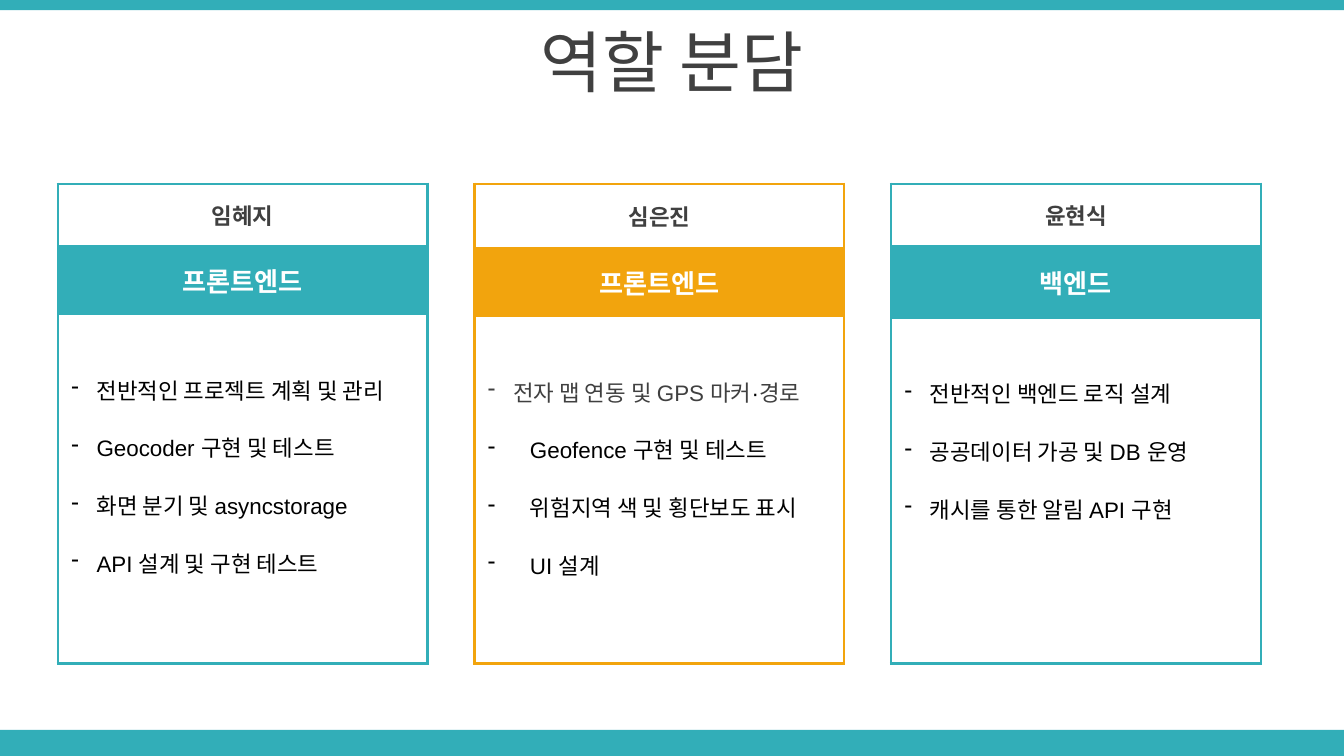
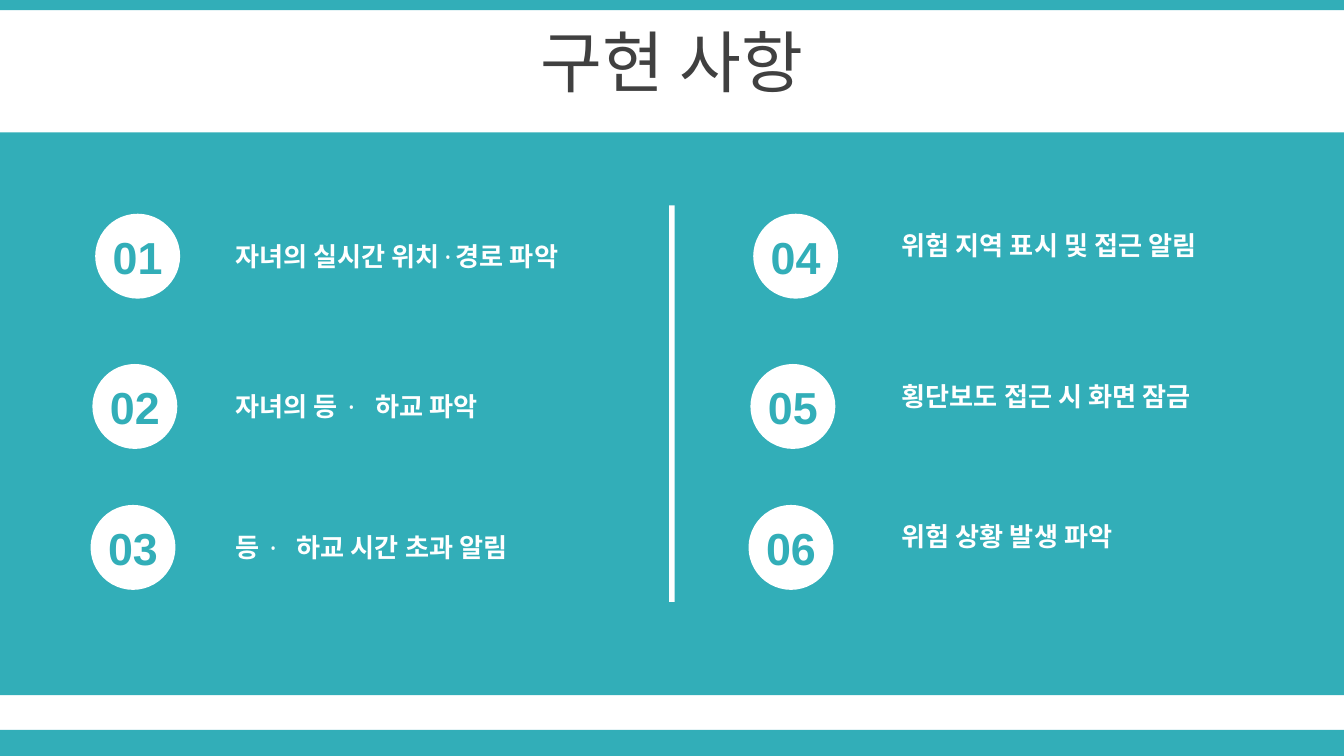
from dataclasses import dataclass
from typing import NamedTuple

from lxml import etree
from pptx import Presentation
from pptx.dml.color import RGBColor
from pptx.enum import shapes, text
from pptx.oxml import ns
from pptx.util import Pt

HUE = {"teal": "32AEB8", "gold": "F2A40D", "white": "FFFFFF",
       "dark": "404040", "black": "000000"}
SANS, MONO = "Arial", "Noto Sans Mono"
WIDE, HIGH = 720, 405
MID, LEFT = text.PP_ALIGN.CENTER, text.PP_ALIGN.LEFT


class Run(NamedTuple):
    text: str
    hue: str = "black"
    size: float = 12
    bold: bool = False
    font: str = SANS


class Box(NamedTuple):
    x: float
    y: float
    w: float
    h: float

    def pts(self) -> list:
        return [Pt(v) for v in self]


@dataclass
class Card:
    name: str
    role: str
    hue: str
    rows: tuple
    tasks: list
    dents: list


@dataclass
class Goal:
    words: list
    dot: str = "·"


CARDS = [
    Card("임혜지", "프론트엔드", "teal", (33, 37.5, 186.5),
         [[Run("전반적인 프로젝트 계획 및 관리")], [Run("Geocoder 구현 및 테스트")],
          [Run("화면 분기 및 asyncstorage")], [Run("API 설계 및 구현 테스트")]],
         [13.5] * 4),
    Card("심은진", "프론트엔드", "gold", (34, 37.5, 185.5),
         [[Run("전자 맵 연동 및 GPS 마커", "dark"), Run("·"), Run("경로", "dark")],
          [Run("Geofence 구현 및 테스트")], [Run("위험지역 색 및 횡단보도 표시")],
          [Run("UI 설계")]],
         [13.5] + [22.5] * 3),
    Card("윤현식", "백엔드", "teal", (33, 39.5, 184.5),
         [[Run("전반적인 백엔드 로직 설계")], [Run("공공데이터 가공 및 DB 운영")],
          [Run("캐시를 통한 알림 API 구현")]],
         [13.5] * 3),
]

GOALS = [
    Goal(["자녀의 실시간 위치", "경로 파악"]),
    Goal(["자녀의 등", "하교 파악"], " · "),
    Goal(["등", "하교 시간 초과 알림"], " · "),
    Goal(["위험 지역 표시 및 접근 알림"]),
    Goal(["횡단보도 접근 시 화면 잠금"]),
    Goal(["위험 상황 발생 파악"]),
]


def tint(name: str) -> RGBColor:
    return RGBColor.from_string(HUE[name])


def write(par, runs: list, align=LEFT) -> None:
    par.alignment = align
    for item in runs:
        run = par.add_run()
        run.text = item.text
        font = run.font
        font.name, font.size, font.bold = item.font, Pt(item.size), item.bold
        font.color.rgb = tint(item.hue)


def block(slide, box: Box, hue: str, kind=shapes.MSO_SHAPE.RECTANGLE) -> None:
    shape = slide.shapes.add_shape(kind, *box.pts())
    shape.shadow.inherit = False
    shape.fill.solid()
    shape.fill.fore_color.rgb = tint(hue)
    shape.line.fill.background()


def label(slide, box: Box, runs: list, align=LEFT) -> None:
    frame = slide.shapes.add_textbox(*box.pts()).text_frame
    frame.word_wrap = True
    write(frame.paragraphs[0], runs, align)


def start(deck, name: str):
    """Add a slide with the shared bands and title."""
    slide = deck.slides.add_slide(deck.slide_layouts[5])
    block(slide, Box(0, 391, WIDE, 14), "teal")
    block(slide, Box(0, 0, WIDE, 5.5), "teal")
    title = slide.shapes.title
    title.left, title.top, title.width, title.height = Box(0, 10, WIDE, 45.5).pts()
    frame = title.text_frame
    frame.auto_size = text.MSO_AUTO_SIZE.NONE
    frame.vertical_anchor = text.MSO_ANCHOR.MIDDLE
    write(frame.paragraphs[0], [Run(name, "dark", 36)], MID)
    return slide


def edge(cell, hue: str, sides: str) -> None:
    """Draw the named sides of a cell and clear the others."""
    props = cell._tc.get_or_add_tcPr()
    for i, side in enumerate("LRTB"):
        line = etree.Element(ns.qn(f"a:ln{side}"), w=str(Pt(1.5)))
        if side in sides:
            fill = etree.SubElement(line, ns.qn("a:solidFill"))
            etree.SubElement(fill, ns.qn("a:srgbClr"), val=HUE[hue])
        else:
            etree.SubElement(line, ns.qn("a:noFill"))
        props.insert(i, line)


def dash(par, dent: float) -> None:
    """Give a paragraph a hanging dash."""
    props = par._p.get_or_add_pPr()
    props.set("marL", str(Pt(dent)))
    props.set("indent", str(-Pt(dent)))
    etree.SubElement(props, ns.qn("a:buChar"), char="-")


def fill_list(cell, card: Card) -> None:
    cell.margin_top = Pt(31)
    frame = cell.text_frame
    for i, (runs, dent) in enumerate(zip(card.tasks, card.dents)):
        par = frame.add_paragraph() if i else frame.paragraphs[0]
        if i:
            par.space_before = Pt(13.5)
        write(par, runs)
        dash(par, dent)


def draw_card(slide, card: Card, x: float) -> None:
    box = Box(x, 98.5, 198, sum(card.rows))
    table = slide.shapes.add_table(3, 1, *box.pts()).table
    table.first_row = table.horz_banding = False
    looks = zip(card.rows, ("white", card.hue, "white"), ("LRT", "LR", "LRB"))
    for i, (tall, hue, sides) in enumerate(looks):
        table.rows[i].height = Pt(tall)
        cell = table.cell(i, 0)
        cell.fill.solid()
        cell.fill.fore_color.rgb = tint(hue)
        edge(cell, card.hue, sides)
    heads = (Run(card.name, "dark", 12, True), Run(card.role, "white", 14, True))
    for i, head in enumerate(heads):
        cell = table.cell(i, 0)
        cell.vertical_anchor = text.MSO_ANCHOR.MIDDLE
        write(cell.text_frame.paragraphs[0], [head], MID)
    fill_list(table.cell(2, 0), card)


def draw_goal(slide, i: int, goal: Goal) -> None:
    col, row = divmod(i, 3)
    x = (51, 49.5, 48.5)[row] + col * 352.5
    y = (114.5, 195, 270.5)[row]
    block(slide, Box(x, y, 45.5, 45.5), "white", shapes.MSO_SHAPE.OVAL)
    label(slide, Box(x - 2.5, y + 5, 50.5, 36),
          [Run(f"{i + 1:02}", "teal", 24, True)], MID)
    runs = []
    for word in goal.words:
        if runs:
            runs.append(Run(goal.dot, "white", 14, False, MONO))
        runs.append(Run(word, "white", 14, True))
    label(slide, Box((119, 476)[col], y + (10.8, 5)[col], 209.5, 24.5), runs)


def main() -> None:
    deck = Presentation()
    deck.slide_width, deck.slide_height = Pt(WIDE), Pt(HIGH)

    slide = start(deck, "역할 분담")
    for i, card in enumerate(CARDS):
        draw_card(slide, card, 31 + i * 223.2)

    slide = start(deck, "구현 사항")
    block(slide, Box(0, 71, WIDE, 301.5), "teal")
    block(slide, Box(358.5, 110, 3, 212.5), "white")
    for i, goal in enumerate(GOALS):
        draw_goal(slide, i, goal)

    deck.save("out.pptx")


if __name__ == "__main__":
    main()
